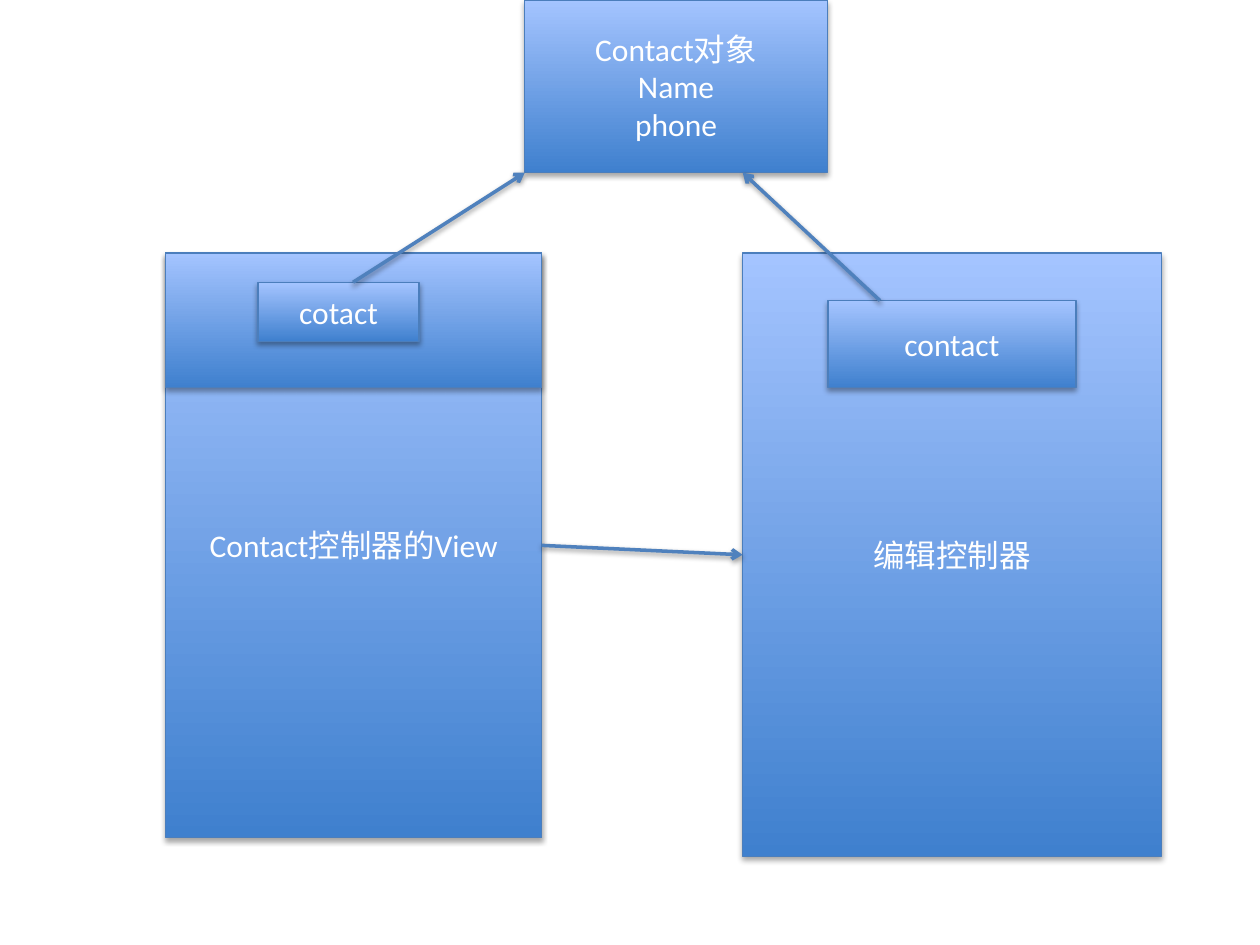
"""Build a slide showing two controllers that share one Contact object."""
from lxml import etree
from pptx import Presentation
from pptx.dml.color import RGBColor
from pptx.enum.shapes import MSO_CONNECTOR, MSO_SHAPE
from pptx.enum.text import MSO_ANCHOR, PP_ALIGN
from pptx.oxml import parse_xml
from pptx.oxml.ns import qn
from pptx.util import Cm, Pt

RECT = MSO_SHAPE.RECTANGLE
STRAIGHT = MSO_CONNECTOR.STRAIGHT
MIDDLE = MSO_ANCHOR.MIDDLE
CENTER = PP_ALIGN.CENTER
DEEP_BLUE = RGBColor(0x3F, 0x80, 0xCE)
PALE_BLUE = RGBColor(0xA4, 0xC4, 0xFF)
BORDER = RGBColor(0x4B, 0x7E, 0xBC)
ARROW = RGBColor(0x4F, 0x81, 0xBD)
WHITE = RGBColor(0xFF, 0xFF, 0xFF)
FONT = "Calibri"

BOXES = {
    "view": ((3.34, 5.1, 7.58, 11.79), "Contact控制器的View"),
    "view header": ((3.34, 5.1, 7.58, 2.72), ""),
    "view contact": ((5.2, 5.69, 3.25, 1.2), "cotact"),
    "editor": ((14.97, 5.1, 8.44, 12.17), "编辑控制器"),
    "editor contact": ((16.69, 6.06, 5, 1.76), "contact"),
    "contact object": ((10.58, 0, 6.1, 3.48), "Contact对象\nName\nphone"),
}
ARROWS = [
    ("view", (1, 0.5), "editor", (0, 0.5)),
    ("view contact", (0.59, 0), "contact object", (0, 1)),
    ("editor contact", (0.21, 0), "contact object", (0.72, 1)),
]


def add_shadow(s, distance, opacity):
    s._element.spPr.append(parse_xml(
        '<a:effectLst xmlns:a="http://schemas.openxmlformats.org/drawingml/2006/main">'
        f'<a:outerShdw blurRad="{Pt(3.1)}" dist="{Pt(distance)}" dir="5400000" rotWithShape="0">'
        f'<a:srgbClr val="000000"><a:alpha val="{opacity * 1000}"/></a:srgbClr>'
        '</a:outerShdw></a:effectLst>'))


def add_text(tf, text):
    tf.text = text
    tf.word_wrap = True
    tf.vertical_anchor = MIDDLE
    for p in tf.paragraphs:
        p.alignment = CENTER
        for r in p.runs:
            r.font.name = FONT
            r.font.size = Pt(18)
            r.font.color.rgb = WHITE


def add_box(shapes, bounds, text):
    sp = shapes.add_shape(RECT, *map(Cm, bounds))
    sp.fill.gradient()
    sp.fill.gradient_angle = 90
    for stop, color in zip(sp.fill.gradient_stops, (DEEP_BLUE, PALE_BLUE)):
        stop.color.rgb = color
    sp.line.color.rgb = BORDER
    sp.line.width = Pt(0.75)
    add_shadow(sp, 1.8, 35)
    if text:
        add_text(sp.text_frame, text)


def anchor(name, fractions):
    left, top, width, height = BOXES[name][0]
    return Cm(left + width * fractions[0]), Cm(top + height * fractions[1])


def add_arrow(shapes, start, end):
    s = shapes.add_connector(STRAIGHT, *start, *end)
    s.line.color.rgb = ARROW
    s.line.width = Pt(2)
    etree.SubElement(s.line._get_or_add_ln(), qn("a:tailEnd"), type="arrow")
    add_shadow(s, 1.6, 38)


prs = Presentation()
prs.slide_width, prs.slide_height = Cm(25.4), Cm(19.05)
shapes = prs.slides.add_slide(prs.slide_layouts[6]).shapes
for bounds, text in BOXES.values():
    add_box(shapes, bounds, text)
for source, leave, target, arrive in ARROWS:
    add_arrow(shapes, anchor(source, leave), anchor(target, arrive))
prs.save("out.pptx")
